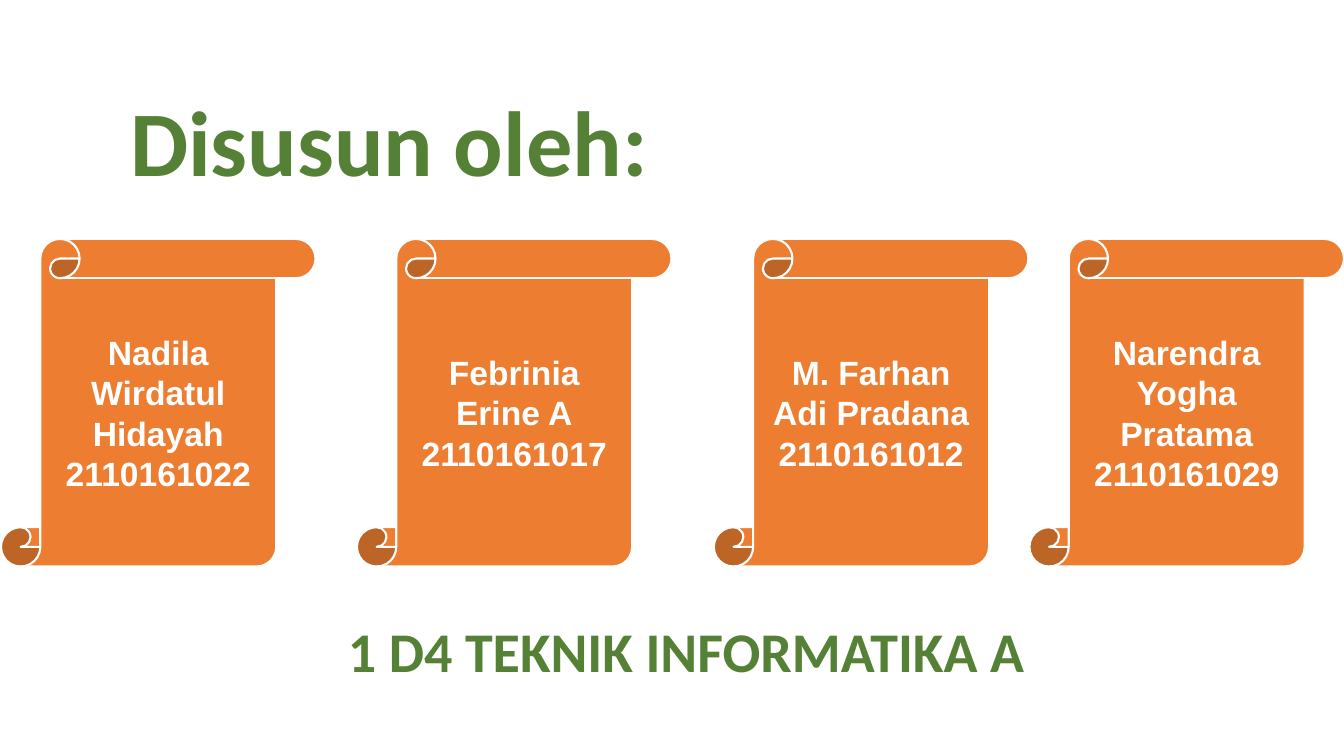
from pptx import Presentation
from pptx.dml.color import RGBColor
from pptx.enum.shapes import MSO_SHAPE
from pptx.enum.text import MSO_ANCHOR, MSO_AUTO_SIZE, PP_ALIGN
from pptx.util import Pt

PX = 9144  # EMU per px, 100 px to the inch
TITLE_ONLY = 5
SCROLL = MSO_SHAPE.VERTICAL_SCROLL
LEFT, CENTER = PP_ALIGN.LEFT, PP_ALIGN.CENTER
MIDDLE, BOTTOM = MSO_ANCHOR.MIDDLE, MSO_ANCHOR.BOTTOM
NO_FIT = MSO_AUTO_SIZE.NONE

COLORS = {"green": "548135", "orange": "ED7D31", "white": "FFFFFF"}
FORMATS = {
    "title": {"name": "Calibri", "size": Pt(66), "bold": True},
    "class": {"name": "Calibri", "size": Pt(40), "bold": True},
    "member": {"name": "Arial", "size": Pt(24), "bold": True},
}
MEMBERS = [
    (1, "Nadila Wirdatul Hidayah", "2110161022"),
    (354, "Febrinia Erine A", "2110161017"),
    (708, "M. Farhan Adi Pradana", "2110161012"),
    (1021, "Narendra Yogha Pratama", "2110161029"),
]


def color(name):
    return RGBColor.from_string(COLORS[name])


class Page:
    def __init__(self, deck):
        self.slide = deck.slides.add_slide(deck.slide_layouts[TITLE_ONLY])

    def set_text(self, box, lines, style, ink, align, anchor, spacing=None):
        frame = box.text_frame
        settings = {"word_wrap": True, "auto_size": NO_FIT, "vertical_anchor": anchor}
        for key, value in settings.items():
            setattr(frame, key, value)
        frame.text = "\n".join(lines)
        for para in frame.paragraphs:
            para.alignment = align
            para.line_spacing = spacing
            for span in para.runs:
                for key, value in FORMATS[style].items():
                    setattr(span.font, key, value)
                span.font.color.rgb = color(ink)

    def title(self, text, left, top, width, height):
        box = self.slide.shapes.title
        area = {"left": left, "top": top, "width": width, "height": height}
        for key, value in area.items():
            setattr(box, key, value * PX)
        self.set_text(box, [text], "title", "green", LEFT, BOTTOM, 0.9)

    def label(self, text, *area):
        box = self.slide.shapes.add_textbox(*(value * PX for value in area))
        self.set_text(box, [text], "class", "green", CENTER, BOTTOM)

    def scroll(self, lines, *area):
        box = self.slide.shapes.add_shape(SCROLL, *(value * PX for value in area))
        box.shadow.inherit = False
        box.fill.solid()
        box.fill.fore_color.rgb = color("orange")
        box.line.color.rgb = color("white")
        box.line.width = Pt(1.5)
        self.set_text(box, lines, "member", "white", CENTER, MIDDLE)


def main():
    deck = Presentation()
    deck.slide_width, deck.slide_height = 1333 * PX, 750 * PX
    page = Page(deck)
    page.title("Disusun oleh:", 119, 75, 1123, 125)
    for left, name, number in MEMBERS:
        page.scroll([name, number], left, 237, 312, 325)
    page.label("1 D4 TEKNIK INFORMATIKA A", 119, 600, 1123, 83)
    deck.save("out.pptx")


if __name__ == "__main__":
    main()
